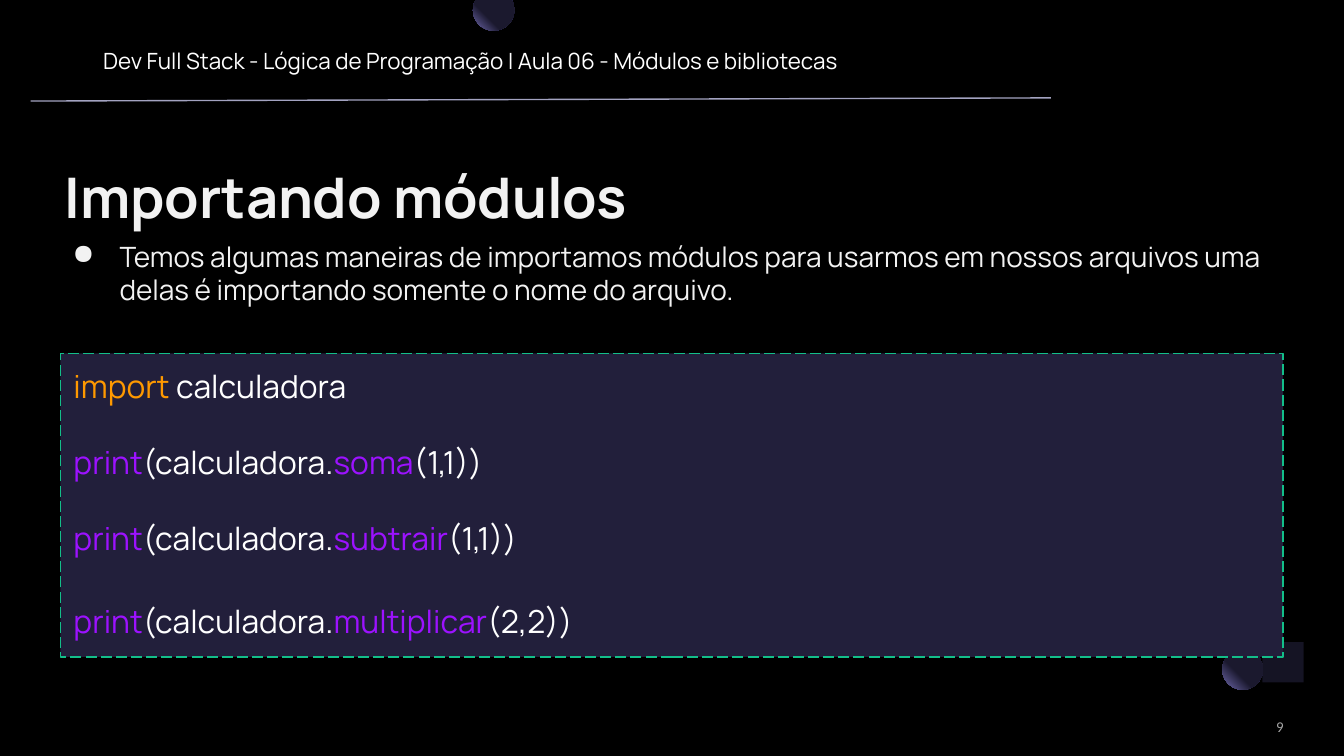
from dataclasses import dataclass
from math import asin, cos, pi, sin

from lxml import etree
from pptx import Presentation
from pptx.dml.color import RGBColor
from pptx.enum.dml import MSO_LINE
from pptx.enum.shapes import MSO_CONNECTOR, MSO_SHAPE
from pptx.enum.text import MSO_ANCHOR, MSO_AUTO_SIZE, PP_ALIGN
from pptx.oxml import parse_xml
from pptx.oxml.ns import qn
from pptx.util import Cm, Pt

RECTANGLE, OVAL = MSO_SHAPE.RECTANGLE, MSO_SHAPE.OVAL
STRAIGHT = MSO_CONNECTOR.STRAIGHT
LONG_DASH = MSO_LINE.LONG_DASH
TOP, MIDDLE = MSO_ANCHOR.TOP, MSO_ANCHOR.MIDDLE
LEFT, RIGHT = PP_ALIGN.LEFT, PP_ALIGN.RIGHT
GROW, FIXED = MSO_AUTO_SIZE.SHAPE_TO_FIT_TEXT, MSO_AUTO_SIZE.NONE
DRAWING_NS = "http://schemas.openxmlformats.org/drawingml/2006/main"


@dataclass(frozen=True)
class Theme:
    font: str = "Manrope"
    number_font: str = "Calibri"
    background: str = "000000"
    white: str = "FFFFFF"
    soft_white: str = "F2F2F2"
    grey: str = "A5A5A5"
    rule: str = "A3A3C1"
    orb_dark: str = "1B192E"
    orb_light: str = "746EB3"
    panel: str = "221F3B"
    panel_edge: str = "13BE89"
    keyword: str = "FF9900"
    function: str = "9C12FF"
    title_size: float = 30
    body_size: float = 15
    header_size: float = 12
    code_size: float = 17
    number_size: float = 8
    line_width: float = 0.75


THEME = Theme()


def rgb(value):
    return RGBColor.from_string(value)


def add_shape(slide, kind, left, top, width, height, color):
    shape = slide.shapes.add_shape(kind, Cm(left), Cm(top), Cm(width), Cm(height))
    shape.shadow.inherit = False
    shape.fill.solid()
    shape.fill.fore_color.rgb = rgb(color)
    shape.line.fill.background()
    return shape


def add_text_box(slide, left, top, width, height):
    return slide.shapes.add_textbox(Cm(left), Cm(top), Cm(width), Cm(height))


def set_frame(box, inset_x=0.25, inset_y=0.25, anchor=TOP, fit=GROW):
    frame = box.text_frame
    frame.word_wrap = True
    frame.auto_size = fit
    frame.vertical_anchor = anchor
    frame.margin_left = frame.margin_right = Cm(inset_x)
    frame.margin_top = frame.margin_bottom = Cm(inset_y)
    return frame


def write(para, text, size=THEME.body_size, color=THEME.white, font=THEME.font,
          bold=False, align=LEFT):
    """Append one formatted span to a paragraph."""
    para.alignment = align
    span = para.add_run()
    span.text = text
    span.font.size = Pt(size)
    span.font.name = font
    span.font.bold = bold
    span.font.color.rgb = rgb(color)


def add_bullet(para, color, margin, hanging):
    properties = para._p.get_or_add_pPr()
    properties.set("marL", str(Cm(margin)))
    properties.set("indent", str(-Cm(hanging)))
    bullet_color = etree.SubElement(properties, qn("a:buClr"))
    etree.SubElement(bullet_color, qn("a:srgbClr"), val=color)
    etree.SubElement(properties, qn("a:buChar"), char="●")


def shade_as_orb(shape):
    """Give a shape a circular gradient that starts at its top right corner."""
    stops = ((0, THEME.orb_dark), (60, THEME.orb_dark), (100, THEME.orb_light))
    stop_xml = "".join(
        f'<a:gs pos="{position * 1000}"><a:srgbClr val="{color}"/></a:gs>'
        for position, color in stops)
    gradient = parse_xml(
        f'<a:gradFill xmlns:a="{DRAWING_NS}"><a:gsLst>{stop_xml}</a:gsLst>'
        '<a:path path="circle">'
        '<a:fillToRect l="100000" t="0" r="0" b="100000"/></a:path></a:gradFill>')
    properties = shape._element.spPr
    solid = properties.find(qn("a:solidFill"))
    properties.replace(solid, gradient)


def add_cut_orb(slide, center_x, center_y, radius, steps=48):
    """Draw the part of a circle that lies below the top edge of the slide."""
    start = -asin(center_y / radius)
    sweep = pi - 2 * start
    angles = [start + sweep * step / steps for step in range(steps + 1)]
    points = [(Cm(center_x + radius * cos(angle)),
               Cm(max(0, center_y + radius * sin(angle)))) for angle in angles]
    builder = slide.shapes.build_freeform(*points[0])
    builder.add_line_segments(points[1:], close=True)
    orb = builder.convert_to_shape()
    orb.shadow.inherit = False
    orb.fill.solid()
    orb.line.fill.background()
    shade_as_orb(orb)


def add_decoration(slide):
    shade_as_orb(add_shape(slide, OVAL, 23.1, 12.27, 0.77, 0.77, THEME.orb_dark))
    block = add_shape(slide, RECTANGLE, 23.86, 12.14, 0.78, 0.76, THEME.orb_dark)
    color = block._element.spPr.find(qn("a:solidFill"))[0]
    etree.SubElement(color, qn("a:alpha"), val="80000")
    add_cut_orb(slide, 9.33, 0.19, 0.39)


def add_header(slide):
    rule = slide.shapes.add_connector(STRAIGHT, Cm(0.58), Cm(1.91), Cm(19.86), Cm(1.85))
    rule.line.color.rgb = rgb(THEME.rule)
    rule.line.width = Pt(THEME.line_width)
    etree.SubElement(rule._element.spPr, qn("a:effectLst"))
    frame = set_frame(add_text_box(slide, 1.7, 0.64, 21.59, 1.02))
    write(frame.paragraphs[0],
          "Dev Full Stack - Lógica de Programação | Aula 06 - Módulos e bibliotecas",
          size=THEME.header_size)


def add_title(slide, text):
    frame = set_frame(add_text_box(slide, 0.97, 2.31, 23.75, 1.55), inset_y=0.13)
    para = frame.paragraphs[0]
    para.line_spacing = 1.5
    para.space_before, para.space_after = Pt(26), Pt(9)
    write(para, text, size=THEME.title_size, color=THEME.soft_white, bold=True)


def add_body(slide, text):
    para = set_frame(add_text_box(slide, 0.74, 4.27, 24.26, 1.8)).paragraphs[0]
    add_bullet(para, THEME.soft_white, margin=1.27, hanging=0.89)
    write(para, text, color=THEME.soft_white)


def add_code(slide, lines):
    """Draw the code panel; each line is a gap above and its coloured spans."""
    panel = add_shape(slide, RECTANGLE, 1.14, 6.68, 23.11, 5.74, THEME.panel)
    panel.line.color.rgb = rgb(THEME.panel_edge)
    panel.line.width = Pt(THEME.line_width)
    panel.line.dash_style = LONG_DASH
    frame = set_frame(panel)
    for index, (gap, spans) in enumerate(lines):
        para = frame.add_paragraph() if index else frame.paragraphs[0]
        para.space_before = Pt(gap)
        for text, color in spans:
            write(para, text, size=THEME.code_size, color=color)


def call_line(function, arguments):
    return [("print", THEME.function), ("(calculadora.", THEME.white),
            (function, THEME.function), (f"({arguments}))", THEME.white)]


def add_slide_number(slide, number):
    box = add_text_box(slide, 20.73, 13.56, 3.53, 0.33)
    frame = set_frame(box, inset_x=0, inset_y=0, anchor=MIDDLE, fit=FIXED)
    write(frame.paragraphs[0], number, size=THEME.number_size, color=THEME.grey,
          font=THEME.number_font, align=RIGHT)


def main():
    deck = Presentation()
    deck.slide_width, deck.slide_height = Cm(25.4), Cm(14.29)
    slide = deck.slides.add_slide(deck.slide_layouts[6])
    slide.background.fill.solid()
    slide.background.fill.fore_color.rgb = rgb(THEME.background)
    add_decoration(slide)
    add_slide_number(slide, "9")
    add_title(slide, "Importando módulos")
    add_header(slide)
    add_body(slide, "Temos algumas maneiras de importamos módulos para usarmos em "
                    "nossos arquivos uma delas é importando somente o nome do arquivo.")
    add_code(slide, [
        (0, [("import ", THEME.keyword), ("calculadora", THEME.white)]),
        (20.4, call_line("soma", "1,1")),
        (20.4, call_line("subtrair", "1,1")),
        (24, call_line("multiplicar", "2,2")),
    ])
    deck.save("out.pptx")


if __name__ == "__main__":
    main()
